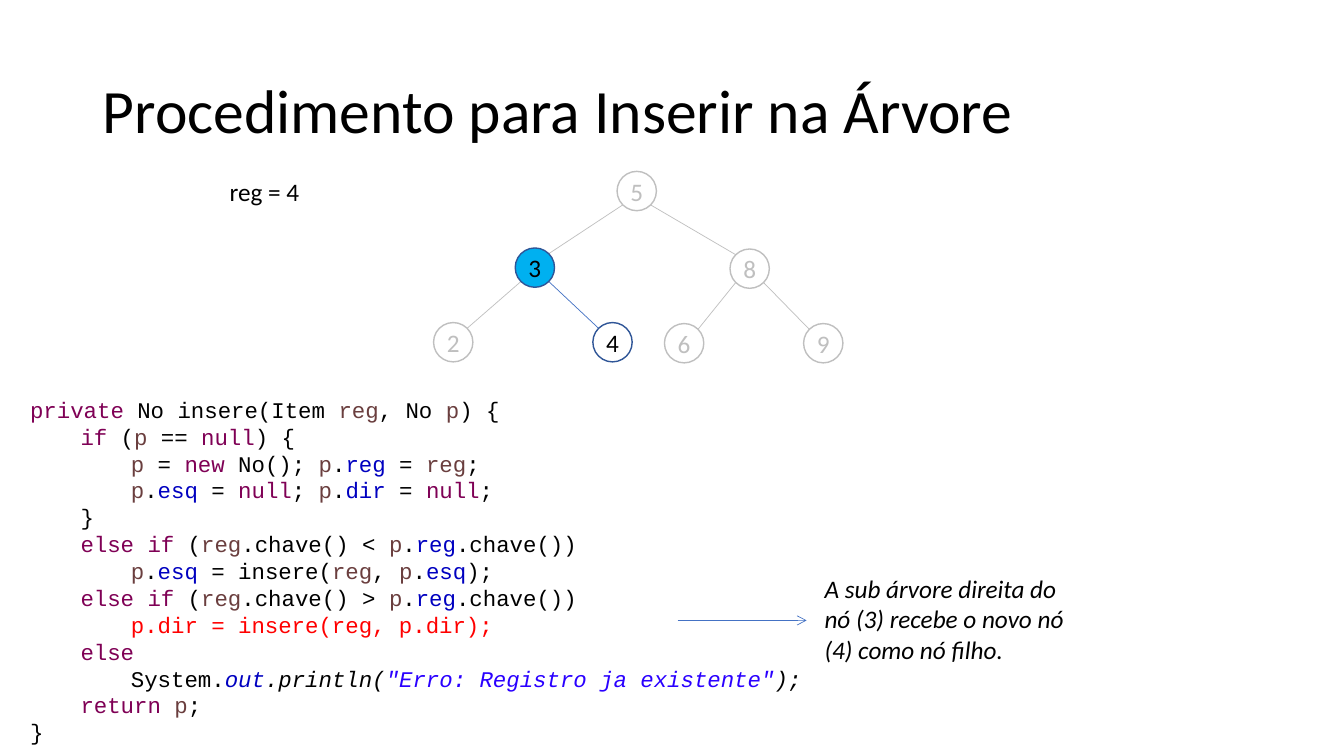
from math import sqrt

from lxml import etree
from pptx import Presentation
from pptx import util as u
from pptx.dml.color import RGBColor
from pptx.enum import shapes, text
from pptx.oxml import ns

PX = 9144  # EMU per px, 100 px to the inch

BLACK = RGBColor(0x00, 0x00, 0x00)
GREY = RGBColor(0xBF, 0xBF, 0xBF)
CYAN = RGBColor(0x00, 0xB0, 0xF0)
NAVY = RGBColor(0x2F, 0x55, 0x97)
BLUE = RGBColor(0x44, 0x72, 0xC4)
RED = RGBColor(0xFF, 0x00, 0x00)
KEY = RGBColor(0x7F, 0x00, 0x55)
VAR = RGBColor(0x6A, 0x3E, 0x3E)
FIELD = RGBColor(0x00, 0x00, 0xC0)
QUOTE = RGBColor(0x2A, 0x00, 0xFF)

# Tree: value -> left, top, ring, fill, ink
SIDE = 39
NODES = {
    5: (612, 170, GREY, None, GREY),
    3: (511, 246, NAVY, CYAN, BLACK),
    8: (724, 247, GREY, None, GREY),
    2: (430, 320, GREY, None, GREY),
    4: (588, 320, NAVY, None, BLACK),
    6: (659, 321, GREY, None, GREY),
    9: (797, 321, GREY, None, GREY),
}
EDGES = [(5, 3), (5, 8), (3, 2), (3, 4), (8, 6), (8, 9)]

# Code: indent level, then runs; a bare string is black
P, REG, NULL = (VAR, "p"), (VAR, "reg"), (KEY, "null")
F_REG, ESQ, DIR = (FIELD, "reg"), (FIELD, "esq"), (FIELD, "dir")
CODE = [
    (0, (KEY, "private"), " No insere(Item ", REG, ", No ", P, ") {"),
    (1, (KEY, "if"), " (", P, " == ", NULL, ") {"),
    (2, P, " = ", (KEY, "new"), " No(); ", P, ".", F_REG, " = ", REG, ";"),
    (2, P, ".", ESQ, " = ", NULL, "; ", P, ".", DIR, " = ", NULL, ";"),
    (1, "}"),
    (1, (KEY, "else if"), " (", REG, ".chave() < ", P, ".", F_REG, ".chave())"),
    (2, P, ".", ESQ, " = insere(", REG, ", ", P, ".", ESQ, ");"),
    (1, (KEY, "else if"), " (", REG, ".chave() > ", P, ".", F_REG, ".chave())"),
    (2, (RED, "p.dir = insere(reg, p.dir);")),
    (1, (KEY, "else")),
    (2, "System.", (FIELD, "out", True), (BLACK, ".println(", True),
     (QUOTE, '"Erro: Registro ja existente"', True), (BLACK, ");", True)),
    (1, (KEY, "return "), P, ";"),
    (0, "}"),
]


def emu(*vals):
    return [u.Emu(round(v * PX)) for v in vals]


def style(par, size, color=BLACK, face="Calibri", slant=False):
    font = par.font
    font.name, font.size, font.italic = face, u.Pt(size), slant
    font.color.rgb = color


def title(slide, box, words):
    head = slide.shapes.title
    head.left, head.top, head.width, head.height = emu(*box)
    frame = head.text_frame
    frame.text = words
    frame.auto_size = text.MSO_AUTO_SIZE.NONE
    frame.vertical_anchor = text.MSO_ANCHOR.MIDDLE
    par = frame.paragraphs[0]
    par.alignment = text.PP_ALIGN.LEFT
    par.line_spacing = 0.9
    style(par, 44)


def label(slide, box, words, wrap=True, slant=False):
    frame = slide.shapes.add_textbox(*emu(*box)).text_frame
    frame.word_wrap = wrap
    frame.text = words
    style(frame.paragraphs[0], 18, slant=slant)


def line(slide, start, end, color, arrow=False):
    link = slide.shapes.add_connector(
        shapes.MSO_CONNECTOR.STRAIGHT, *emu(*start, *end))
    link.line.color.rgb = color
    link.line.width = u.Pt(0.5)
    if arrow:
        tip = etree.SubElement(link.line._get_or_add_ln(), ns.qn("a:tailEnd"))
        tip.set("type", "arrow")
    etree.SubElement(link._element.spPr, ns.qn("a:effectLst"))


def node(slide, box, value, ring, fill, ink):
    disc = slide.shapes.add_shape(shapes.MSO_SHAPE.OVAL, *emu(*box))
    disc.shadow.inherit = False
    disc.line.color.rgb = ring
    disc.line.width = u.Pt(1)
    if fill is None:
        disc.fill.background()
    else:
        disc.fill.solid()
        disc.fill.fore_color.rgb = fill
    frame = disc.text_frame
    frame.margin_left = frame.margin_right = 0
    frame.margin_top = frame.margin_bottom = 0
    frame.word_wrap = False
    frame.vertical_anchor = text.MSO_ANCHOR.MIDDLE
    frame.text = str(value)
    par = frame.paragraphs[0]
    par.alignment = text.PP_ALIGN.CENTER
    style(par, 18, ink)


def rim(value, dx, dy):
    """Point on a node's circle along a diagonal."""
    left, top = NODES[value][:2]
    mid, reach = SIDE / 2, SIDE / 2 / sqrt(2)
    return left + mid + dx * reach, top + mid + dy * reach


def tree(slide):
    for top, low in EDGES:
        way = 1 if NODES[low][0] > NODES[top][0] else -1
        color = BLUE if low == 4 else GREY
        line(slide, rim(top, way, 1), rim(low, -way, -1), color)
    for value, (left, top, *look) in NODES.items():
        node(slide, (left, top, SIDE, SIDE), value, *look)


def code(slide, box):
    frame = slide.shapes.add_textbox(*emu(*box)).text_frame
    frame.word_wrap = True
    for num, (level, *runs) in enumerate(CODE):
        par = frame.add_paragraph() if num else frame.paragraphs[0]
        par.level = level
        par._p.get_or_add_pPr().set("marL", str(level * 50 * PX))
        style(par, 16, face="Courier New")
        for item in runs:
            color, words, *slant = (BLACK, item) if isinstance(item, str) else item
            run = par.add_run()
            run.text = words
            run.font.color.rgb = color
            if slant:
                run.font.italic = True


def note(slide, box):
    left, top, _, height = box
    y = top + height / 2 + 1
    line(slide, (left - 136, y), (left - 8, y), BLUE, arrow=True)
    label(slide, box, "A sub árvore direita do nó (3) recebe o novo nó (4) "
          "como nó filho.", slant=True)


def main():
    deck = Presentation()
    deck.slide_width, deck.slide_height = emu(1333, 750)
    slide = deck.slides.add_slide(deck.slide_layouts[5])
    title(slide, (92, 40, 1150, 145), "Procedimento para Inserir na Árvore")
    label(slide, (218, 170, 90, 40), "reg = 4", wrap=False)
    tree(slide)
    note(slide, (808, 564, 276, 101))
    code(slide, (20, 388, 889, 360))
    deck.save("out.pptx")


if __name__ == "__main__":
    main()
